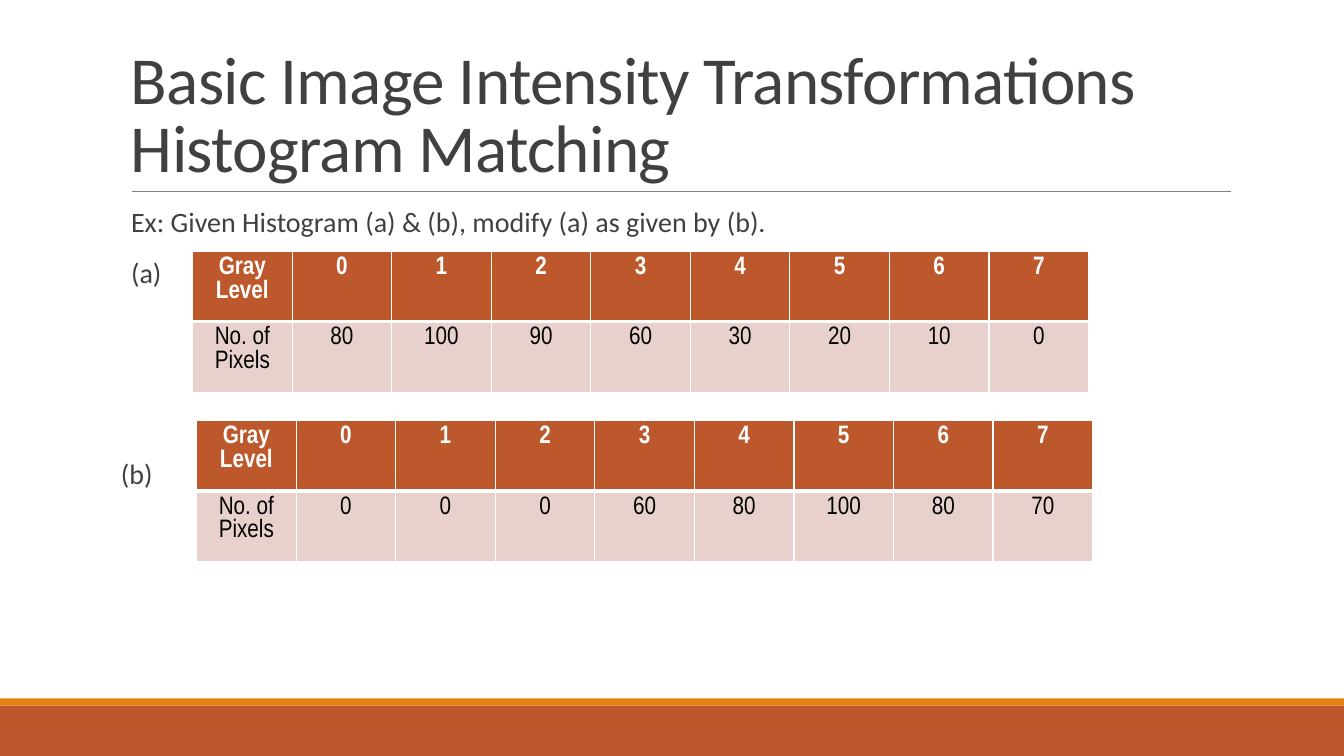
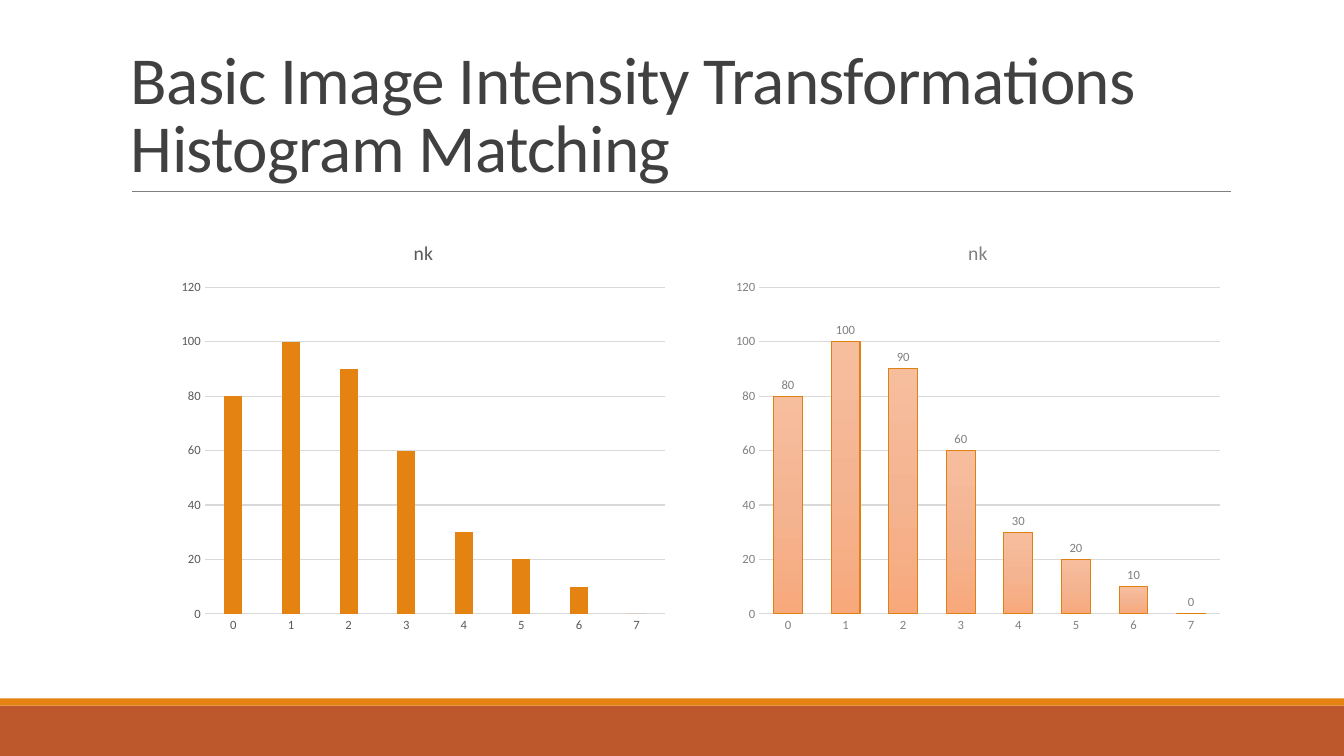
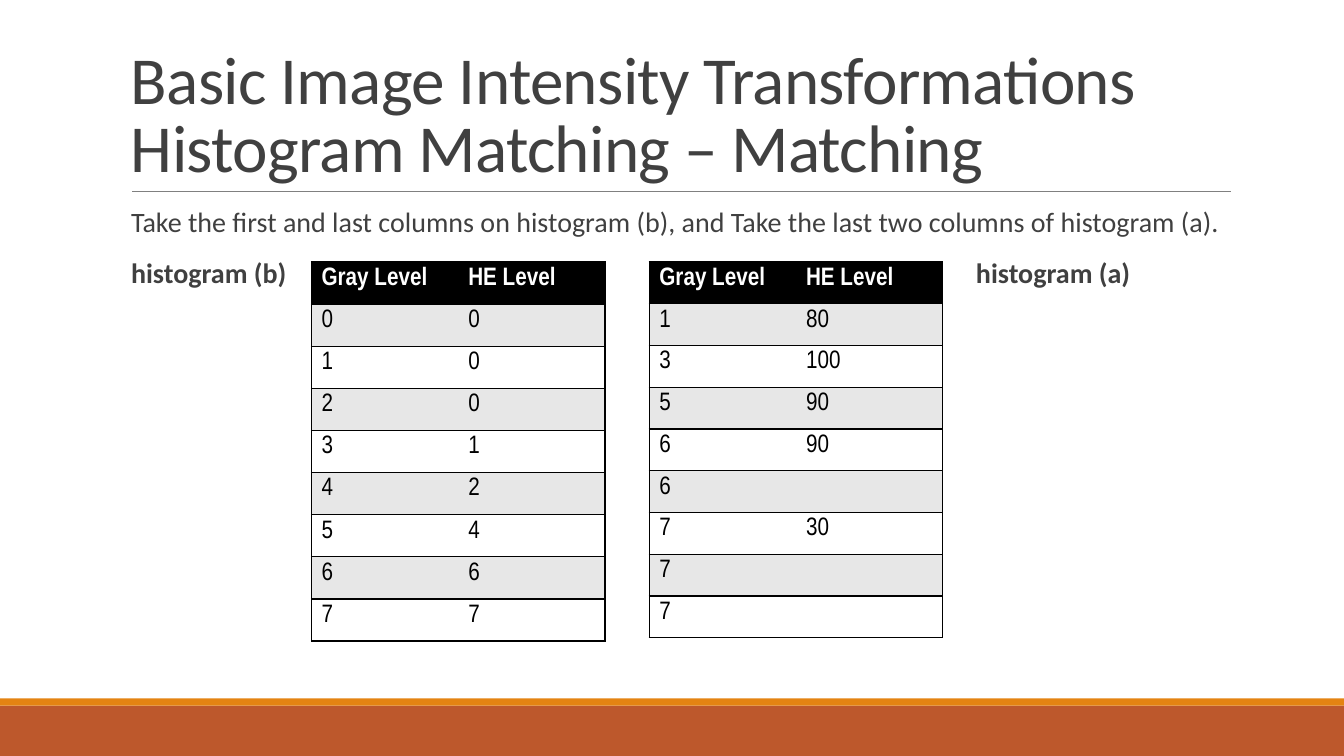
import copy
from dataclasses import dataclass

import lxml.etree
import pptx
import pptx.chart.data
import pptx.dml.color
import pptx.enum.chart
import pptx.enum.shapes
import pptx.enum.text
import pptx.oxml.ns
import pptx.util


@dataclass(frozen=True)
class Theme:
    font: str = "Calibri"
    table_font: str = "Arial Narrow"
    rust: str = "BD582C"
    orange: str = "E48312"
    ink: str = "404040"
    rule: str = "808080"
    grid: str = "D9D9D9"
    blush: str = "E8D1CD"
    stripe: str = "E7E7E7"
    white: str = "FFFFFF"
    black: str = "000000"
    title_size: int = 48
    body_size: int = 20
    table_size: int = 18
    chart_title_size: int = 14
    axis_size: int = 9


@dataclass(frozen=True)
class ChartStyle:
    text: str
    gap: int
    overlap: int
    gradient: tuple = ()
    outline: str = ""
    labels: bool = False


THEME = Theme()
WIDTH, HEIGHT = 13.33, 7.5
CONTENT_LEFT, CONTENT_WIDTH = 1.2, 11
BODY_TOP, BODY_PITCH = 2.02, 0.5
TEXT_LEFT = CONTENT_LEFT + 0.1
TITLE = "Basic Image Intensity Transformations\vHistogram Matching"
LEVELS = list(range(8))
PIXELS_A = [80, 100, 90, 60, 30, 20, 10, 0]
PIXELS_B = [0, 0, 0, 60, 80, 100, 80, 70]
MATCHED_B = [0, 0, 0, 1, 2, 4, 6, 7]
EQUALIZED_A = [1, 3, 5, 6, 6, 7, 7, 7]
MATCHED_A = [80, 100, 90, 90, "", 30, "", ""]

PLAIN_CHART = ChartStyle("595959", 219, -27)
SHADED_CHART = ChartStyle("808080", 100, -24, ("F7BE9E", "F4B491", "F8A97C"),
                          "DF8012", True)


def rgb(color):
    return pptx.dml.color.RGBColor.from_string(color)


def inches(*lengths):
    return [pptx.util.Inches(length) for length in lengths]


def style_font(font, size, color, name=THEME.font, bold=False):
    font.size = pptx.util.Pt(size)
    font.color.rgb = rgb(color)
    font.name = name
    font.bold = bold


def add_element(parent, tag, **attributes):
    return lxml.etree.SubElement(parent, pptx.oxml.ns.qn(tag), attributes)


def add_text(slide, box, text, size, line_spacing, margin, bold=False):
    """Place one paragraph in a text box; margin is the horizontal inset."""
    frame = slide.shapes.add_textbox(*inches(*box)).text_frame
    frame.word_wrap = True
    frame.margin_left = frame.margin_right = pptx.util.Inches(margin)
    paragraph = frame.paragraphs[0]
    paragraph.text = text
    paragraph.line_spacing = line_spacing
    for run in paragraph.runs:
        style_font(run.font, size, THEME.ink, bold=bold)
    return frame


def add_body_line(slide, text, row, left=TEXT_LEFT, bold=False):
    box = (left, BODY_TOP + row * BODY_PITCH,
           CONTENT_LEFT + CONTENT_WIDTH - left, 0.41)
    add_text(slide, box, text, THEME.body_size, 0.9, 0, bold)


def add_band(slide, top, height, color):
    band = slide.shapes.add_shape(pptx.enum.shapes.MSO_SHAPE.RECTANGLE,
                                  *inches(0, top, WIDTH, height))
    band.shadow.inherit = False
    band.fill.solid()
    band.fill.fore_color.rgb = rgb(color)
    band.line.fill.background()


def add_framed_slide(presentation, title):
    """Add a slide with the shared bands, title and rule."""
    slide = presentation.slides.add_slide(presentation.slide_layouts[6])
    add_band(slide, 7, 0.5, THEME.rust)
    add_band(slide, 6.93, 0.07, THEME.orange)
    rule = slide.shapes.add_connector(
        pptx.enum.shapes.MSO_CONNECTOR.STRAIGHT,
        *inches(1.31, 1.9, 12.21, 1.9))
    rule.line.color.rgb = rgb(THEME.rule)
    rule.line.width = pptx.util.Pt(0.5)
    add_element(rule._element.spPr, "a:effectLst")
    frame = add_text(slide, (CONTENT_LEFT, 0.31, CONTENT_WIDTH, 1.59), title,
                     THEME.title_size, 0.85, 0.1)
    frame.vertical_anchor = pptx.enum.text.MSO_ANCHOR.BOTTOM
    for run in frame.paragraphs[0].runs:
        run.font._element.set("spc", "-50")
    return slide


def set_borders(cell, color, left, right, top, bottom):
    """Set border widths in points; zero hides a border."""
    properties = cell._tc.get_or_add_tcPr()
    for side, width in zip("LRTB", (left, right, top, bottom)):
        line = add_element(properties, f"a:ln{side}",
                           w=str(pptx.util.Pt(width)))
        if width:
            fill = add_element(line, "a:solidFill")
            add_element(fill, "a:srgbClr", val=color)
        else:
            add_element(line, "a:noFill")


def add_table(slide, box, rows, fills, border, header_rule, inner, align):
    """Fill a table; fills are the header colour, then the alternating ones."""
    columns = len(rows[0])
    table = slide.shapes.add_table(len(rows), columns, *inches(*box)).table
    for column in table.columns:
        column.width = pptx.util.Inches(box[2] / columns)
    for table_row in table.rows:
        table_row.height = pptx.util.Inches(box[3] / len(rows))
    for y, values in enumerate(rows):
        header = y == 0
        for x, value in enumerate(values):
            cell = table.cell(y, x)
            set_borders(cell, border,
                        1 if x == 0 else inner,
                        1 if x == columns - 1 else inner,
                        header_rule if y == 1 else 1,
                        header_rule if header else 1)
            cell.fill.solid()
            shade = fills[0] if header else fills[1 + (y - 1) % (len(fills) - 1)]
            cell.fill.fore_color.rgb = rgb(shade)
            paragraph = cell.text_frame.paragraphs[0]
            paragraph.text = str(value)
            paragraph.alignment = align
            style_font(paragraph.runs[0].font if paragraph.runs else paragraph.font,
                       THEME.table_size, THEME.white if header else THEME.black,
                       THEME.table_font, header)


def add_histogram_table(slide, left, top, pixels):
    rows = [["Gray Level", *LEVELS], ["No. of Pixels", *pixels]]
    add_table(slide, (left, top, 8.89, 1.13), rows, (THEME.rust, THEME.blush),
              THEME.white, 3, 1, pptx.enum.text.PP_ALIGN.CENTER)


def add_level_table(slide, left, height, gray, equalized):
    rows = [("Gray Level", "HE Level"), *zip(gray, equalized)]
    add_table(slide, (left, 2.6, 2.91, height), rows,
              (THEME.black, THEME.stripe, THEME.white),
              THEME.black, 1, 0, pptx.enum.text.PP_ALIGN.LEFT)


def fill_gradient(series, colors):
    """Shade the bars from top to bottom through three colours."""
    fill = series.format.fill
    fill.gradient()
    fill.gradient_angle = 270
    stops = series._element.find(".//" + pptx.oxml.ns.qn("a:gsLst"))
    stops.insert(1, copy.deepcopy(stops[0]))
    for stop, color, position in zip(fill.gradient_stops, colors, (0, 0.5, 1)):
        stop.color.rgb = rgb(color)
        stop.position = position


def style_axis(axis, color):
    axis.major_tick_mark = pptx.enum.chart.XL_TICK_MARK.NONE
    axis.minor_tick_mark = pptx.enum.chart.XL_TICK_MARK.NONE
    style_font(axis.tick_labels.font, THEME.axis_size, color)


def style_line(line, color):
    line.color.rgb = rgb(color)
    line.width = pptx.util.Pt(0.75)


def add_histogram_chart(slide, left, style):
    data = pptx.chart.data.CategoryChartData()
    data.categories = [str(level) for level in LEVELS]
    data.add_series("nk", PIXELS_A)
    chart = slide.shapes.add_chart(
        pptx.enum.chart.XL_CHART_TYPE.COLUMN_CLUSTERED,
        *inches(left, 2.2, 5, 4.16), data).chart
    style_font(chart.font, 10, THEME.black)
    chart.has_legend = False
    chart.has_title = True
    chart.chart_title.include_in_layout = False
    paragraph = chart.chart_title.text_frame.paragraphs[0]
    paragraph.text = "nk"
    style_font(paragraph.runs[0].font, THEME.chart_title_size, style.text)

    style_axis(chart.category_axis, style.text)
    style_line(chart.category_axis.format.line, THEME.grid)
    style_axis(chart.value_axis, style.text)
    chart.value_axis.format.line.fill.background()
    style_line(chart.value_axis.major_gridlines.format.line, THEME.grid)

    plot = chart.plots[0]
    plot.vary_by_categories = False
    plot.gap_width = style.gap
    plot.overlap = style.overlap
    series = plot.series[0]
    if style.gradient:
        fill_gradient(series, style.gradient)
    else:
        series.format.fill.solid()
        series.format.fill.fore_color.rgb = rgb(THEME.orange)
    if style.outline:
        style_line(series.format.line, style.outline)
    if style.labels:
        labels = series.data_labels
        labels.show_value = True
        labels.position = pptx.enum.chart.XL_LABEL_POSITION.OUTSIDE_END
        style_font(labels.font, THEME.axis_size, style.text)


def add_exercise_slide(presentation):
    slide = add_framed_slide(presentation, TITLE)
    add_body_line(slide, "Ex: Given Histogram (a) & (b), modify (a) as given by (b).", 0)
    add_body_line(slide, "(a)", 1)
    add_body_line(slide, "(b)", 5, CONTENT_LEFT)
    add_histogram_table(slide, 1.91, 2.49, PIXELS_A)
    add_histogram_table(slide, 1.95, 4.17, PIXELS_B)


def add_chart_slide(presentation):
    slide = add_framed_slide(presentation, TITLE)
    add_histogram_chart(slide, 1.7, PLAIN_CHART)
    add_histogram_chart(slide, 7.2, SHADED_CHART)


def add_matching_slide(presentation):
    slide = add_framed_slide(presentation, TITLE + " – Matching")
    add_body_line(slide, "Take the first and last columns on histogram (b), "
                         "and Take the last two columns of histogram (a).", 0)
    add_body_line(slide, "histogram (b)", 1, bold=True)
    add_body_line(slide, "histogram (a)", 1, 9.68, bold=True)
    add_level_table(slide, 3.09, 3.76, LEVELS, MATCHED_B)
    add_level_table(slide, 6.44, 3.73, EQUALIZED_A, MATCHED_A)


def main():
    presentation = pptx.Presentation()
    presentation.slide_width, presentation.slide_height = inches(WIDTH, HEIGHT)
    add_exercise_slide(presentation)
    add_chart_slide(presentation)
    add_matching_slide(presentation)
    presentation.save("out.pptx")


if __name__ == "__main__":
    main()
